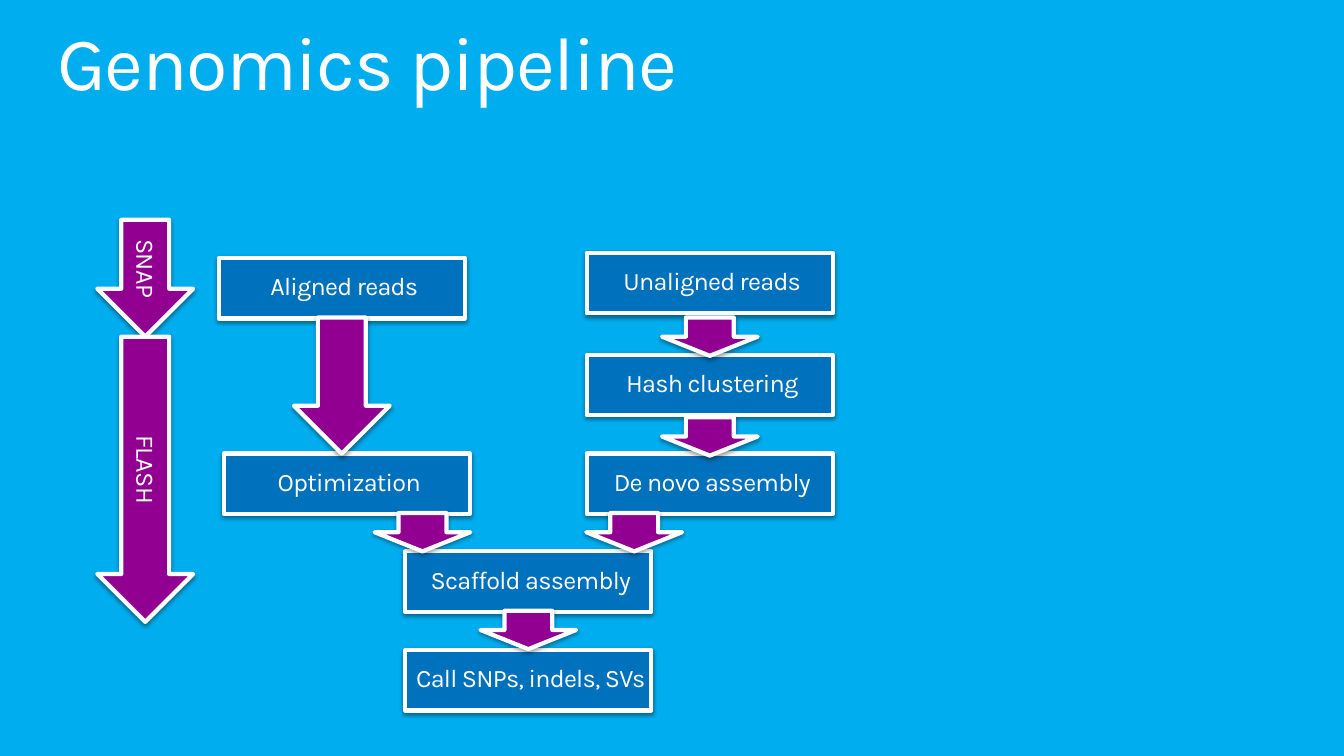
from lxml.etree import SubElement
from pptx import Presentation
from pptx.dml.color import RGBColor
from pptx.enum.shapes import MSO_SHAPE as Preset
from pptx.enum.text import MSO_ANCHOR as Anchor, PP_ALIGN as Align
from pptx.oxml.ns import qn
from pptx.util import Inches, Pt

SKY = RGBColor(0x00, 0xAE, 0xEF)
BLUE = RGBColor(0x00, 0x71, 0xBC)
PURPLE = RGBColor(0x91, 0x00, 0x91)
WHITE = RGBColor(0xFF, 0xFF, 0xFF)
FONT = "Karla"
BOX_WIDTH, BOX_HEIGHT, ARROW_WIDTH = 2.44, 0.6, 0.95
SHORT_ARROW = 0.38

STEPS = [
    ("Aligned reads", 2.17, 2.56),
    ("Unaligned reads", 5.82, 2.51),
    ("Hash clustering", 5.82, 3.52),
    ("De novo assembly", 5.82, 4.5),
    ("Optimization", 2.22, 4.5),
    ("Scaffold assembly", 4.02, 5.47),
    ("Call SNPs, indels, SVs", 4.02, 6.45),
]
ARROWS = [
    ("", 3.39, 3.15, 1.35),
    ("", 7.04, 4.14, SHORT_ARROW),
    ("", 7.04, 3.15, SHORT_ARROW),
    ("", 6.29, 5.09, SHORT_ARROW),
    ("", 4.19, 5.09, SHORT_ARROW),
    ("", 5.24, 6.06, SHORT_ARROW),
    ("SNAP", 1.44, 2.18, 1.16),
    ("FLASH", 1.44, 3.34, 2.83),
]


def set_text(shape, text, size, spacing, margins):
    """Write one line of white text with its character spacing and margins."""
    frame = shape.text_frame
    frame.word_wrap = True
    (frame.margin_left, frame.margin_top,
     frame.margin_right, frame.margin_bottom) = map(Inches, margins)
    frame.text = text
    for run in frame.paragraphs[0].runs:
        run.font.name = FONT
        run.font.size = Pt(size)
        run.font.color.rgb = WHITE
        run.font._element.set("spc", str(int(spacing * 100)))
    return frame


def add_shadow(shape):
    """Give the shape a soft shadow that falls straight down."""
    shape.shadow.inherit = False
    effects = shape._element.spPr.find(qn("a:effectLst"))
    shadow = SubElement(effects, qn("a:outerShdw"), blurRad=str(Pt(3.1)),
                        dist=str(Pt(1.6)), dir="5400000", rotWithShape="0")
    color = SubElement(shadow, qn("a:srgbClr"), val="000000")
    SubElement(color, qn("a:alpha"), val="38000")


def add_block(slide, preset, bounds, fill, text, anchor):
    """Add a white-edged preset shape with centred text."""
    shape = slide.shapes.add_shape(preset, *map(Inches, bounds))
    shape.fill.solid()
    shape.fill.fore_color.rgb = fill
    shape.line.color.rgb = WHITE
    shape.line.width = Pt(3)
    add_shadow(shape)
    frame = set_text(shape, text, 18, -0.5, (0.1, 0.05, 0.05, 0.1))
    frame.vertical_anchor = anchor
    frame.paragraphs[0].alignment = Align.CENTER
    return shape


def add_step(slide, text, left, top):
    """Add one pipeline step box."""
    bounds = (left, top, BOX_WIDTH, BOX_HEIGHT)
    add_block(slide, Preset.RECTANGLE, bounds, BLUE, text, Anchor.MIDDLE)


def add_down_arrow(slide, text, center, top, length):
    """Add a right arrow turned to point down from the given top."""
    bounds = (center - length / 2, top + (length - ARROW_WIDTH) / 2,
              length, ARROW_WIDTH)
    arrow = add_block(slide, Preset.RIGHT_ARROW, bounds, PURPLE, text,
                      Anchor.BOTTOM)
    arrow.rotation = 90


def add_title(slide, text):
    """Add the slide title."""
    title = slide.shapes.add_textbox(*map(Inches, (0.57, 0.25, 12.19, 0.82)))
    frame = set_text(title, text, 54, -1, (0, 0, 0, 0))
    frame.paragraphs[0].line_spacing = 0.9


def main():
    """Build the genomics pipeline slide and save it."""
    presentation = Presentation()
    presentation.slide_width = Inches(13.33)
    presentation.slide_height = Inches(7.5)
    slide = presentation.slides.add_slide(presentation.slide_layouts[6])
    slide.background.fill.solid()
    slide.background.fill.fore_color.rgb = SKY
    add_title(slide, "Genomics pipeline")
    for step in STEPS:
        add_step(slide, *step)
    for arrow in ARROWS:
        add_down_arrow(slide, *arrow)
    presentation.save("out.pptx")


main()
